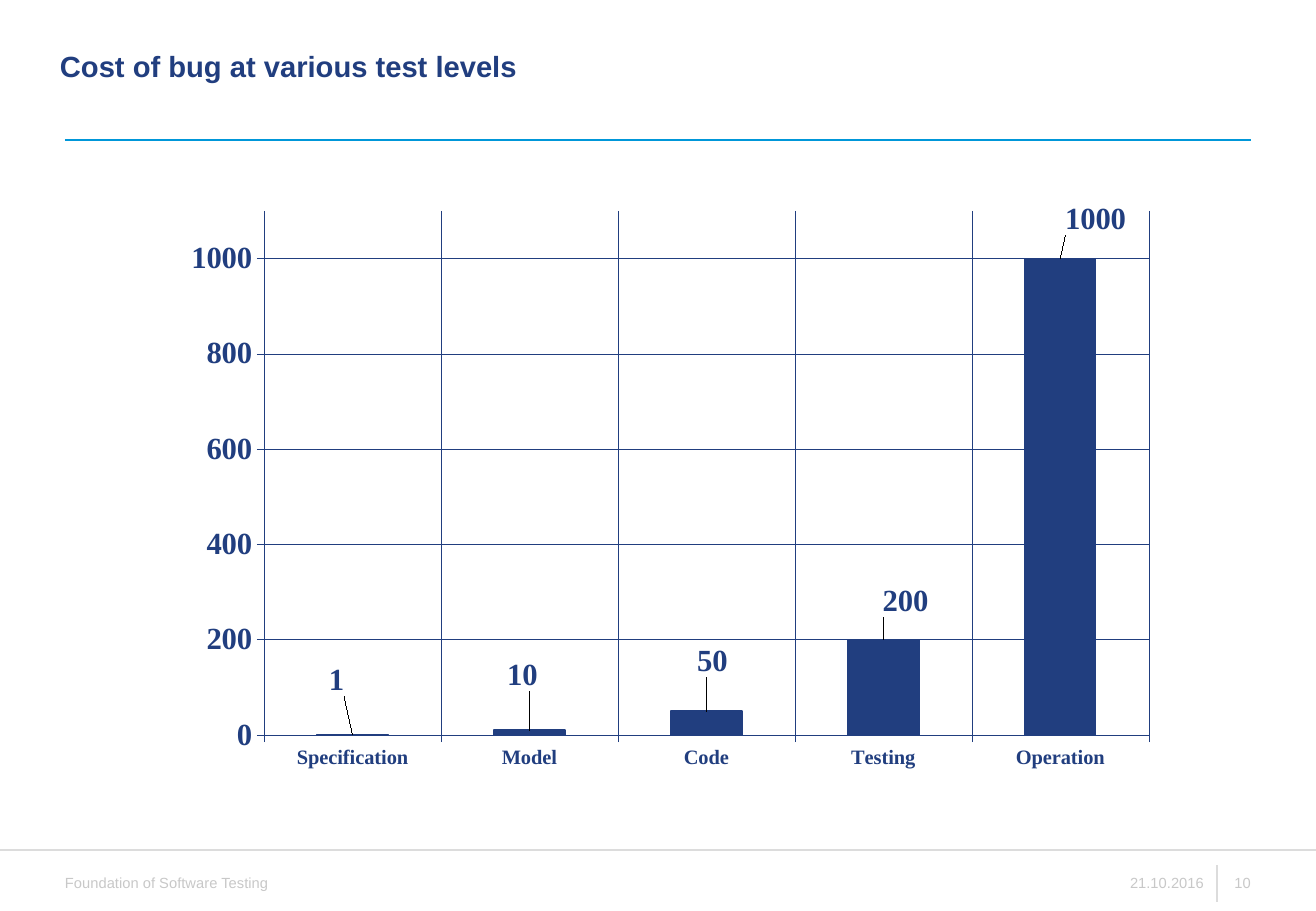
import lxml.etree
import pptx
import pptx.chart.data
import pptx.dml.color
import pptx.enum.chart
import pptx.enum.shapes
import pptx.enum.text
import pptx.oxml.ns
import pptx.util

EMU_PER_PX = 914400 / 121.5
SLIDE_SIZE = (1316, 911)
CHART_BOX = (159, 190, 1010, 616)
COLORS = {"navy": "213E7F", "blue": "0097D9", "rule": "DCDCDC", "footer": "C8C8C8"}
COSTS = [
    ("Specification", 1, (-16, -33)),
    ("Model", 10, (-7, -34)),
    ("Code", 50, (6, -29)),
    ("Testing", 200, (22, -17)),
    ("Operation", 1000, (35, -18)),
]
qn = pptx.oxml.ns.qn


def px(length):
    return pptx.util.Emu(round(length * EMU_PER_PX))


def rgb(color):
    return pptx.dml.color.RGBColor.from_string(COLORS[color])


def style_font(font, size, color, name, bold):
    font.size = pptx.util.Pt(size)
    font.color.rgb = rgb(color)
    font.name = name
    font.bold = bold


def style_line(line, color, width):
    line.color.rgb = rgb(color)
    line.width = pptx.util.Pt(width)


def add_text(slide, text, *, box, size, color, bold=False, align="LEFT",
             anchor="MIDDLE", wrap=False, spacing=None):
    frame = slide.shapes.add_textbox(*map(px, box)).text_frame
    frame.margin_left = frame.margin_right = frame.margin_top = frame.margin_bottom = 0
    frame.word_wrap = wrap
    frame.vertical_anchor = getattr(pptx.enum.text.MSO_ANCHOR, anchor)
    paragraph = frame.paragraphs[0]
    paragraph.alignment = getattr(pptx.enum.text.PP_ALIGN, align)
    if spacing:
        paragraph.line_spacing = pptx.util.Pt(spacing)
    run = paragraph.add_run()
    run.text = text
    style_font(run.font, size, color, "Arial", bold)


def add_rule(slide, start, end, color):
    rule = slide.shapes.add_connector(
        pptx.enum.shapes.MSO_CONNECTOR.STRAIGHT, *map(px, start + end))
    style_line(rule.line, color, 0.75)
    lxml.etree.SubElement(rule._element.spPr, qn("a:effectLst"))


def add_layout(parent, index, **values):
    layout = lxml.etree.Element(qn("c:layout"))
    manual = lxml.etree.SubElement(layout, qn("c:manualLayout"))
    for tag, value in values.items():
        lxml.etree.SubElement(manual, qn(f"c:{tag}")).set("val", str(value))
    parent.insert(index, layout)


def style_axis(axis, size):
    axis.has_major_gridlines = True
    axis.major_tick_mark = pptx.enum.chart.XL_TICK_MARK.OUTSIDE
    axis.minor_tick_mark = pptx.enum.chart.XL_TICK_MARK.NONE
    style_line(axis.format.line, "navy", 0.25)
    style_line(axis.major_gridlines.format.line, "navy", 0.25)
    style_font(axis.tick_labels.font, size, "navy", "Times New Roman", True)


def label_bar(series, index, offset):
    label = series.points[index].data_label
    style_font(label.font, 18.2, "navy", "Times New Roman", True)
    label.position = pptx.enum.chart.XL_LABEL_POSITION.OUTSIDE_END
    label_xml = series._element.findall(".//" + qn("c:dLbl"))[index]
    shift_x, shift_y = offset
    add_layout(label_xml, 1, x=round(shift_x / CHART_BOX[2], 3),
               y=round(shift_y / CHART_BOX[3], 3))


def add_cost_chart(slide):
    cost_data = pptx.chart.data.CategoryChartData()
    cost_data.categories = [level for level, _, _ in COSTS]
    cost_data.add_series("Series 1", [cost for _, cost, _ in COSTS])
    chart = slide.shapes.add_chart(
        pptx.enum.chart.XL_CHART_TYPE.COLUMN_CLUSTERED,
        *map(px, CHART_BOX), cost_data).chart
    chart.has_legend = False
    chart.has_title = False
    style_font(chart.font, 18.2, "navy", "Times New Roman", True)

    style_axis(chart.category_axis, 12.1)
    chart.category_axis.tick_label_position = pptx.enum.chart.XL_TICK_LABEL_POSITION.LOW
    style_axis(chart.value_axis, 18.2)
    chart.value_axis.minimum_scale = 0
    chart.value_axis.maximum_scale = 1100
    chart.value_axis.major_unit = 200

    bars = chart.plots[0]
    bars.vary_by_categories = False
    bars.gap_width = 150
    costs = bars.series[0]
    costs.format.fill.solid()
    costs.format.fill.fore_color.rgb = rgb("navy")
    style_line(costs.format.line, "navy", 1)
    for index, (_, _, offset) in enumerate(COSTS):
        label_bar(costs, index, offset)

    plot_area = chart._chartSpace.find(".//" + qn("c:plotArea"))
    for layout in plot_area.findall(qn("c:layout")):
        plot_area.remove(layout)
    add_layout(plot_area, 0, layoutTarget="inner", xMode="edge", yMode="edge",
               x=0.104, y=0.034, w=0.876, h=0.851)


def add_footer(slide):
    add_rule(slide, (0, 850), (1316, 850), "rule")
    add_rule(slide, (1217, 902), (1217, 865), "rule")
    for text, left, width, align in [
        ("Foundation of Software Testing", 65, 205, "LEFT"),
        ("21.10.2016", 1130, 74, "RIGHT"),
        ("10", 1233, 18, "RIGHT"),
    ]:
        add_text(slide, text, box=(left, 874, width, 18), size=8.7,
                 color="footer", align=align)


def main():
    presentation = pptx.Presentation()
    presentation.slide_width, presentation.slide_height = map(px, SLIDE_SIZE)
    slide = presentation.slides.add_slide(presentation.slide_layouts[6])
    add_rule(slide, (65, 140), (1251, 140), "blue")
    add_footer(slide)
    add_text(slide, "Cost of bug at various test levels", box=(60, 52, 1206, 38),
             size=17.3, color="navy", bold=True, anchor="TOP", wrap=True, spacing=18.4)
    add_cost_chart(slide)
    presentation.save("out.pptx")


if __name__ == "__main__":
    main()
